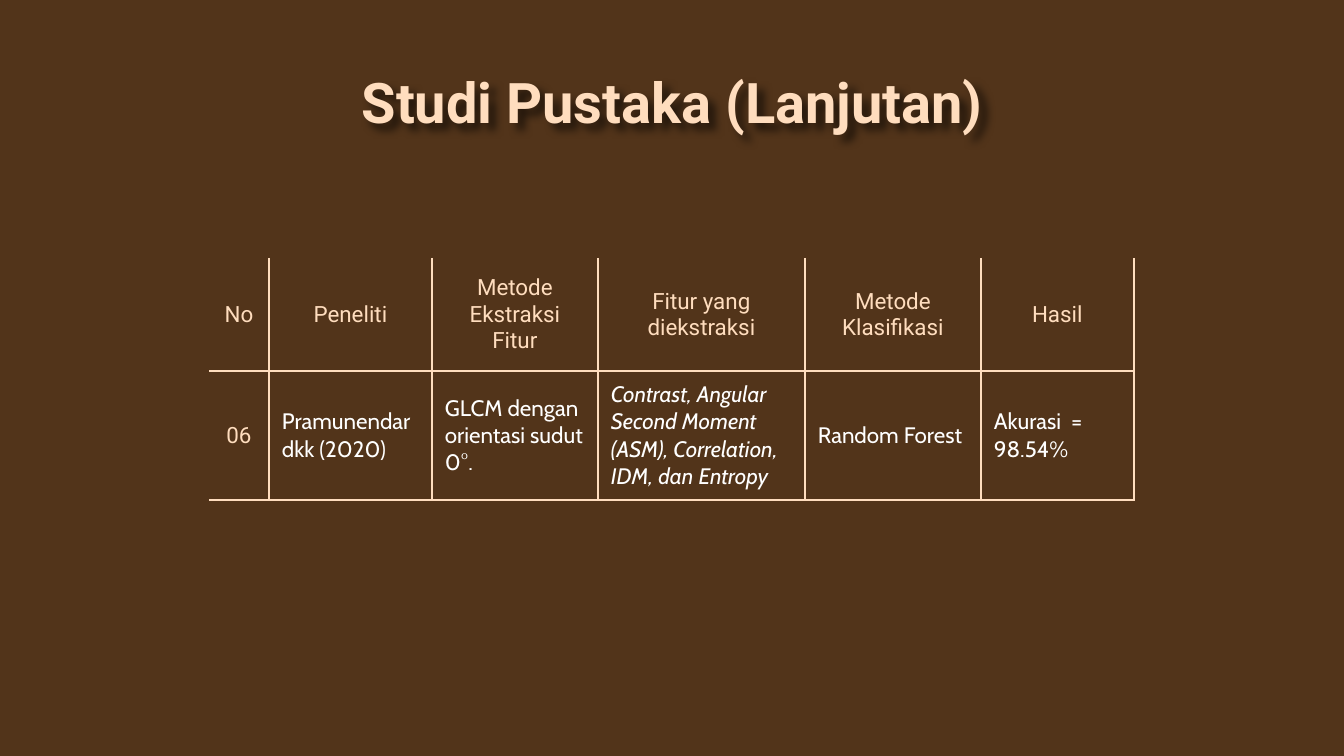
from lxml.etree import SubElement
from pptx import Presentation
from pptx.dml.color import RGBColor
from pptx.enum.text import MSO_ANCHOR, PP_ALIGN
from pptx.oxml import parse_xml
from pptx.oxml.ns import nsdecls, qn
from pptx.util import Pt

PX = 914400 / 134.4
BROWN = RGBColor(0x52, 0x34, 0x1A)
PEACH = RGBColor(0xFF, 0xDD, 0xBE)
WHITE = RGBColor(0xFF, 0xFF, 0xFF)


def px(n):
    return round(n * PX)


def add_borders(cell, sides):
    tcPr = cell._tc.get_or_add_tcPr()
    for side in ("L", "R", "T", "B"):
        ln = SubElement(tcPr, qn(f"a:ln{side}"), w=str(Pt(1.5)))
        if side in sides:
            fill = SubElement(ln, qn("a:solidFill"))
            SubElement(fill, qn("a:srgbClr"), val=str(PEACH))
        else:
            SubElement(ln, qn("a:noFill"))


prs = Presentation()
prs.slide_width, prs.slide_height = px(1344), px(756)
s = prs.slides.add_slide(prs.slide_layouts[5])
s.background.fill.solid()
s.background.fill.fore_color.rgb = BROWN

# Title with a soft shadow
title = s.shapes.title
title.left, title.top, title.width, title.height = px(106), px(54), px(1133), px(81)
tf = title.text_frame
tf.text = "Studi Pustaka (Lanjutan)"
tf.word_wrap = True
tf.vertical_anchor = MSO_ANCHOR.TOP
tf.margin_left = tf.margin_right = tf.margin_top = tf.margin_bottom = px(13)
p = tf.paragraphs[0]
p.alignment = PP_ALIGN.CENTER
p.font.name, p.font.size, p.font.bold = "Roboto", Pt(30), True
p.font.color.rgb = PEACH
title._element.spPr.append(parse_xml(
    f'<a:effectLst {nsdecls("a")}>'
    f'<a:outerShdw blurRad="{px(8)}" dist="{px(8)}" dir="3000000" algn="bl" rotWithShape="0">'
    '<a:srgbClr val="000000"><a:alpha val="60000"/></a:srgbClr>'
    '</a:outerShdw></a:effectLst>'))

# Literature table
rows = [
    ["No", "Peneliti", "Metode Ekstraksi Fitur", "Fitur yang diekstraksi",
     "Metode Klasifikasi", "Hasil"],
    ["06", "Pramunendar dkk (2020)", "GLCM dengan orientasi sudut 0°.",
     "Contrast, Angular Second Moment (ASM), Correlation, IDM, dan Entropy",
     "Random Forest", "Akurasi  = 98.54%"],
]
widths = [60, 163, 166, 207, 176, 153]
heights = [113, 129]
table = s.shapes.add_table(len(rows), len(widths), px(209), px(258),
                           px(sum(widths)), px(sum(heights))).table
for column, width in zip(table.columns, widths):
    column.width = px(width)
for row, height in zip(table.rows, heights):
    row.height = px(height)

for i, texts in enumerate(rows):
    for j, text in enumerate(texts):
        cell = table.cell(i, j)
        label = i == 0 or j == 0
        cell.text = text
        cell.vertical_anchor = MSO_ANCHOR.MIDDLE
        cell.margin_left = cell.margin_right = px(13)
        cell.margin_top = cell.margin_bottom = px(9)
        p = cell.text_frame.paragraphs[0]
        p.alignment = PP_ALIGN.CENTER if label else PP_ALIGN.LEFT
        p.font.name = "Roboto" if label else "Cabin"
        p.font.size = Pt(12)
        p.font.bold = False
        p.font.italic = i == 1 and j == 3
        p.font.color.rgb = PEACH if label else WHITE
        # Outer left and top edges stay open
        add_borders(cell, "RB" + ("L" if j else "") + ("T" if i else ""))
        cell.fill.background()

prs.save("out.pptx")
